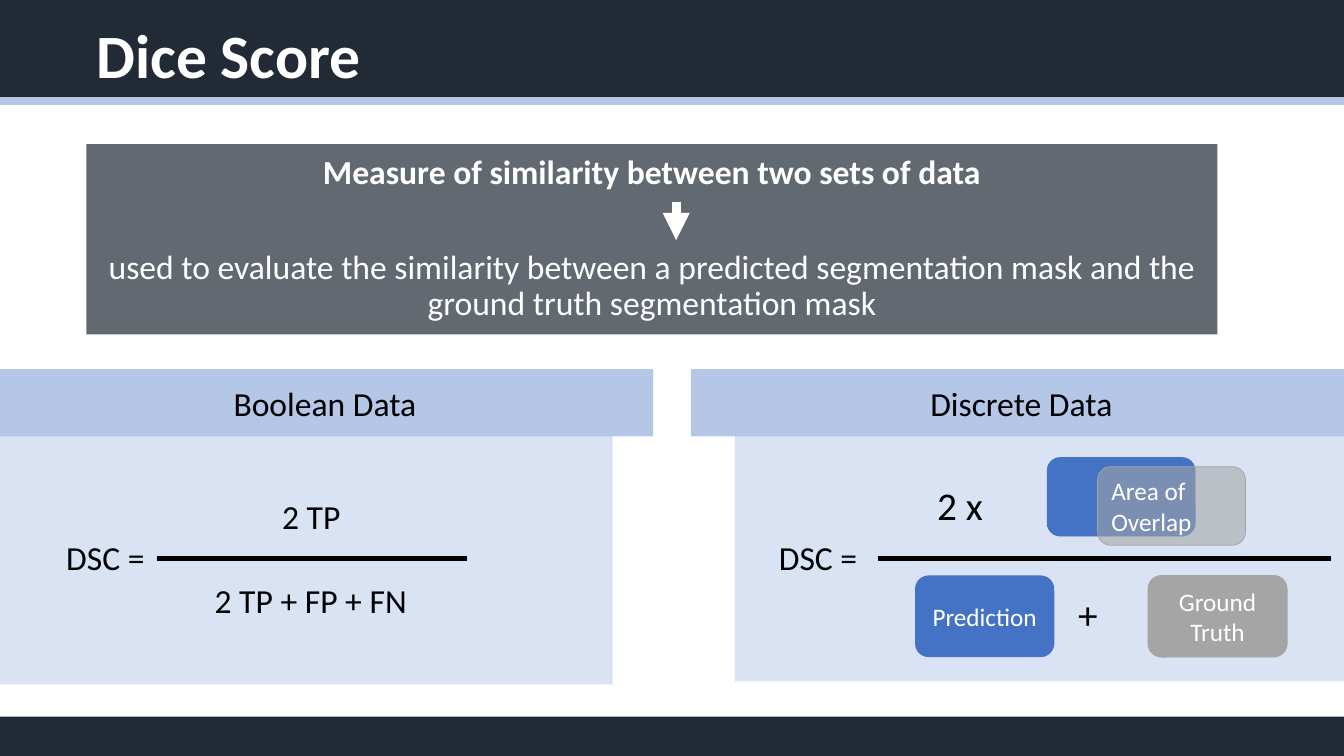
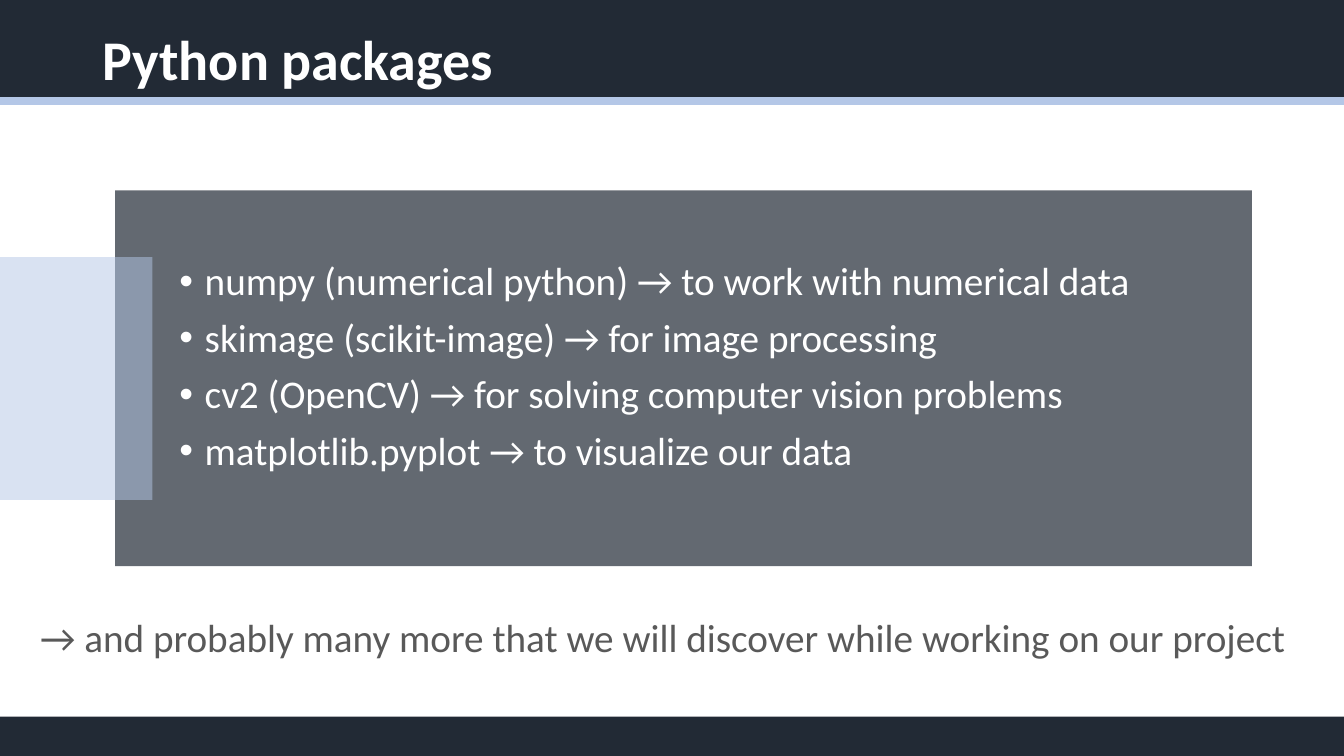
from dataclasses import dataclass

from lxml import etree
from pptx import Presentation
from pptx import util as u
from pptx.dml import color as dml
from pptx.enum import shapes, text
from pptx.oxml import ns

RECT = shapes.MSO_SHAPE.RECTANGLE
ROUNDED = shapes.MSO_SHAPE.ROUNDED_RECTANGLE
LEFT, CENTER = text.PP_ALIGN.LEFT, text.PP_ALIGN.CENTER
TOP, MIDDLE = text.MSO_ANCHOR.TOP, text.MSO_ANCHOR.MIDDLE


@dataclass(frozen=True)
class Theme:
    font: str = "Calibri"
    # Colours
    navy: str = "222A35"
    sky: str = "B4C7E7"
    pale: str = "D9E3F3"
    blue: str = "4472C4"
    gray: str = "A5A5A5"
    note: str = "595959"
    white: str = "FFFFFF"
    black: str = "000000"
    # Type sizes
    title: int = 44
    title_small: int = 40
    large: int = 28
    body: int = 24
    label: int = 18
    # Slide size in centimetres
    width: float = 33.87
    height: float = 19.05


THEME = Theme()


def apply(target, formats):
    for name, value in formats.items():
        setattr(target, name, value)


def child(parent, tag, **attributes):
    return etree.SubElement(parent, ns.qn(tag), attributes)


class Deck:
    """Holds the style and the slide being drawn."""

    def __init__(self, theme):
        self.theme = theme
        self.prs = Presentation()
        apply(self.prs, {"slide_width": u.Cm(theme.width),
                         "slide_height": u.Cm(theme.height)})
        self.slide = None

    def new_slide(self, title, left, top, size):
        """Start a slide with its bands, title and rule."""
        t = self.theme
        self.slide = self.prs.slides.add_slide(self.prs.slide_layouts[6])
        self.block((0, -0.15, t.width, 2.69), t.navy)
        self.block((0, 18.06, t.width, 0.99), t.navy)
        self.text((left, top, 29.21, 3.68), [title], size, t.white,
                  bold=True, anchor=MIDDLE, spacing=0.9)
        self.line((0, 2.54), (t.width, 2.54), t.sky, 6)

    def block(self, box, fill, kind=RECT, opacity=None, outline=None):
        shape = self.slide.shapes.add_shape(kind, *map(u.Cm, box))
        shape.shadow.inherit = False
        shape.fill.solid()
        shape.fill.fore_color.rgb = dml.RGBColor.from_string(fill)
        if opacity is not None:
            solid = shape._element.spPr.find(ns.qn("a:solidFill"))
            child(solid[0], "a:alpha", val=str(opacity * 1000))
        if outline:
            shape.line.color.rgb = dml.RGBColor.from_string(outline)
            shape.line.width = u.Pt(0.5)
        else:
            shape.line.fill.background()
        return shape

    def set_lines(self, shape, lines, size, color, align=LEFT, anchor=MIDDLE,
                  wrap=True, bold=False, spacing=1.0, gap=0, bullet=False):
        """Fill a shape with one paragraph per line, gap points apart."""
        frame = shape.text_frame
        apply(frame, {"word_wrap": wrap, "vertical_anchor": anchor})
        for i, line in enumerate(lines):
            paragraph = frame.paragraphs[0] if i == 0 else frame.add_paragraph()
            apply(paragraph, {"alignment": align, "line_spacing": spacing,
                              "space_before": u.Pt(gap if i else 0)})
            if bullet:
                properties = paragraph._p.get_or_add_pPr()
                properties.set("marL", str(u.Cm(0.64)))
                properties.set("indent", str(u.Cm(-0.64)))
                child(properties, "a:buFont", typeface="Arial")
                child(properties, "a:buChar", char="•")
            run = paragraph.add_run()
            run.text = line
            apply(run.font, {"name": self.theme.font, "size": u.Pt(size),
                             "bold": bold})
            run.font.color.rgb = dml.RGBColor.from_string(color)
        return frame

    def text(self, box, lines, size, color, anchor=TOP, **formats):
        shape = self.slide.shapes.add_textbox(*map(u.Cm, box))
        return self.set_lines(shape, lines, size, color, anchor=anchor,
                              **formats)

    def term(self, box, words, size):
        """One piece of a formula."""
        self.text(box, [words], size, self.theme.black, wrap=False)

    def tile(self, box, fill, lines=(), align=CENTER, **formats):
        """Rounded box that stands for an image area."""
        shape = self.block(box, fill, ROUNDED, **formats)
        self.set_lines(shape, lines, self.theme.label, self.theme.white, align)

    def line(self, start, end, color, width, arrow=False):
        connector = self.slide.shapes.add_connector(
            shapes.MSO_CONNECTOR.STRAIGHT, *map(u.Cm, start + end))
        connector.line.color.rgb = dml.RGBColor.from_string(color)
        connector.line.width = u.Pt(width)
        properties = connector._element.spPr
        if arrow:
            child(properties.find(ns.qn("a:ln")), "a:tailEnd", type="triangle")
        child(properties, "a:effectLst")


def dice_score(deck):
    t = deck.theme
    deck.new_slide("Dice Score", 2.18, -0.36, t.title)

    # Definition
    definition = deck.block((2.18, 3.63, 28.5, 4.8), t.navy, opacity=70)
    frame = deck.set_lines(
        definition,
        ["Measure of similarity between two sets of data",
         "used to evaluate the similarity between a predicted segmentation "
         "mask and the ground truth segmentation mask"],
        t.body, t.white, CENTER, spacing=0.9, gap=42)
    frame.paragraphs[0].runs[0].font.bold = True
    deck.line((17.04, 5.08), (17.04, 6.05), t.white, 6.5, arrow=True)

    # Both columns: panel, heading, left side and fraction bar
    columns = [
        ("Boolean Data", (0, 10.54, 15.44, 6.71), (-0.08, 16.54),
         1.42, (3.96, 11.76)),
        ("Discrete Data", (18.52, 10.46, 16.26, 6.71), (17.42, 16.64),
         19.38, (22.12, 33.53)),
    ]
    for name, panel, (left, width), dsc_left, (bar_start, bar_end) in columns:
        deck.block(panel, t.pale)
        heading = deck.block((left, 9.3, width, 1.7), t.sky)
        deck.set_lines(heading, [name], t.body, t.black, CENTER)
        deck.term((dsc_left, 13.41, 2.54, 1.27), "DSC =", t.body)
        deck.line((bar_start, 14.07), (bar_end, 14.07), t.black, 4)

    # Boolean fraction
    deck.term((6.86, 12.37, 2.01, 1.27), "2 TP", t.body)
    deck.term((5.16, 14.5, 5.38, 1.27), "2 TP + FP + FN", t.body)

    # Discrete fraction
    deck.term((23.37, 12.01, 1.68, 1.45), "2 x", t.large)
    deck.tile((26.39, 11.53, 3.73, 1.98), t.blue, outline=t.blue)
    deck.tile((27.66, 11.76, 3.73, 1.98), t.gray, ["Area of", "Overlap"],
              LEFT, opacity=57, outline=t.gray)
    deck.tile((23.06, 14.5, 3.51, 2.06), t.blue, ["Prediction"])
    deck.term((26.92, 14.76, 1.02, 1.45), "+", t.large)
    deck.tile((28.93, 14.5, 3.51, 2.06), t.gray, ["Ground Truth"],
              outline=t.gray)


def python_packages(deck):
    t = deck.theme
    deck.new_slide("Python packages", 2.34, -0.28, t.title_small)

    # Package list
    deck.block((2.9, 4.8, 28.65, 9.47), t.navy, opacity=70)
    deck.text((4.27, 6.48, 26.72, 6.12),
              ["numpy (numerical python) → to work with numerical data",
               "skimage (scikit-image) → for image processing",
               "cv2 (OpenCV) → for solving computer vision problems",
               "matplotlib.pyplot → to visualize our data"],
              t.large, t.white, spacing=0.9, gap=10, bullet=True)
    deck.block((0, 6.48, 3.84, 6.12), t.sky, opacity=50)

    # Outlook
    deck.text((0.76, 15.32, 32.33, 1.45),
              ["→ and probably many more that we will discover while working "
               "on our project"], t.large, t.note)


def main():
    deck = Deck(THEME)
    dice_score(deck)
    python_packages(deck)
    deck.prs.save("out.pptx")


if __name__ == "__main__":
    main()
